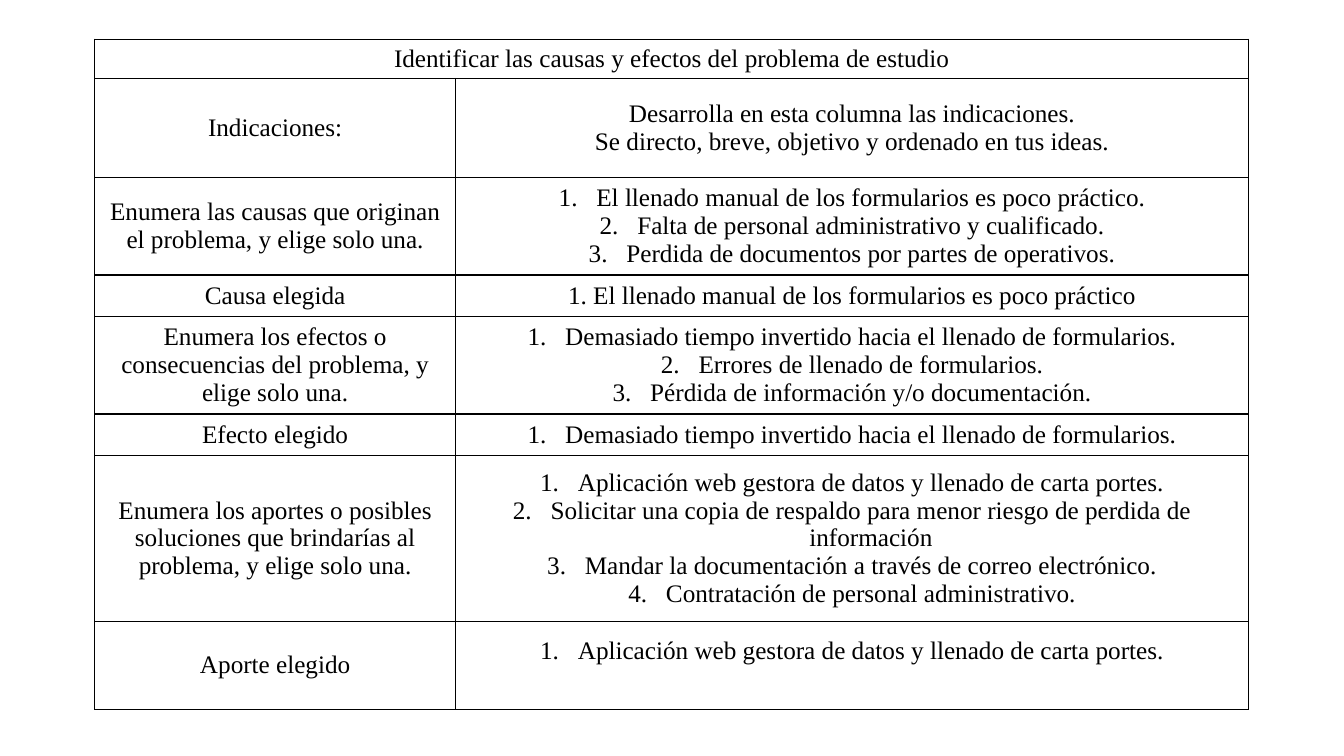
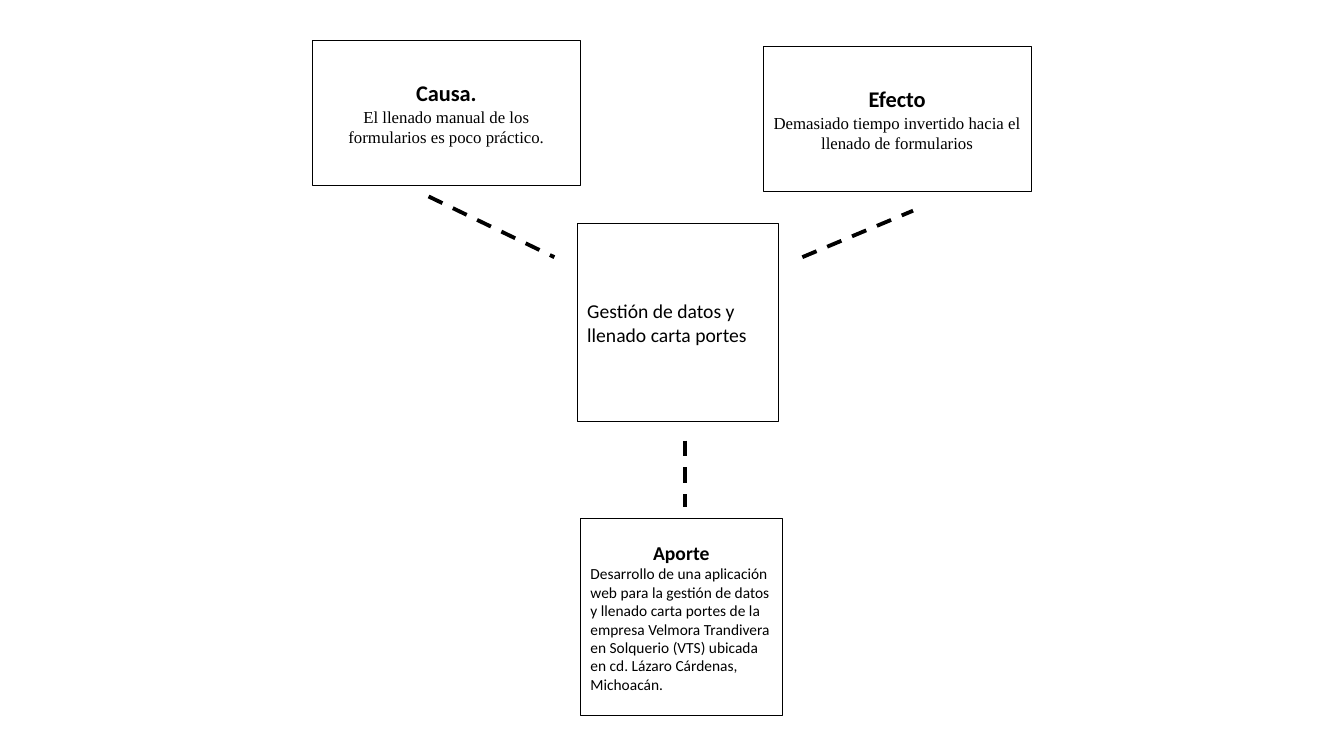
from lxml.etree import SubElement
from pptx import Presentation
from pptx.dml.color import RGBColor
from pptx.enum.dml import MSO_LINE
from pptx.enum.shapes import MSO_CONNECTOR, MSO_SHAPE
from pptx.enum.text import MSO_ANCHOR as Anchor, PP_ALIGN as Align
from pptx.oxml.ns import qn
from pptx.util import Cm, Pt

INK = "000000"
SERIF, SANS = "Times New Roman", "Calibri"
BORDER = 1
NUMBER_INDENT = Cm(0.95)


def color(hex_string):
    return RGBColor.from_string(hex_string)


def add_run(paragraph, text, size, font_name, bold=False):
    run = paragraph.add_run()
    run.text = text
    run.font.size = Pt(size)
    run.font.name = font_name
    run.font.bold = bold
    run.font.color.rgb = color(INK)


def next_paragraph(text_frame, index, align):
    paragraph = text_frame.add_paragraph() if index else text_frame.paragraphs[0]
    paragraph.alignment = align
    return paragraph


def number_paragraph(paragraph):
    properties = paragraph._p.get_or_add_pPr()
    properties.set("marL", str(NUMBER_INDENT))
    properties.set("indent", str(-NUMBER_INDENT))
    SubElement(properties, qn("a:buFont"), typeface="+mj-lt")
    SubElement(properties, qn("a:buAutoNum"), type="arabicPeriod")


# Table of causes and effects
def style_cell(cell):
    properties = cell._tc.get_or_add_tcPr()
    for side in ("a:lnL", "a:lnR", "a:lnT", "a:lnB"):
        line = SubElement(properties, qn(side), w=str(Pt(BORDER)))
        fill = SubElement(line, qn("a:solidFill"))
        SubElement(fill, qn("a:srgbClr"), val=INK)
    cell.fill.background()
    cell.vertical_anchor = Anchor.MIDDLE


def fill_cell(cell, lines, numbered=False):
    for index, text in enumerate(lines):
        paragraph = next_paragraph(cell.text_frame, index, Align.CENTER)
        if numbered:
            number_paragraph(paragraph)
        add_run(paragraph, text, 18, SERIF)


def add_analysis_table(slide, left, top, widths, heading, heading_height, rows):
    heights = [heading_height] + [row[0] for row in rows]
    frame = slide.shapes.add_table(len(heights), len(widths), Cm(left), Cm(top),
                                   Cm(sum(widths)), Cm(sum(heights)))
    table = frame.table
    table.first_row = table.horz_banding = False
    for column, width in zip(table.columns, widths):
        column.width = Cm(width)
    for row, height in zip(table.rows, heights):
        row.height = Cm(height)
    for cell in table.iter_cells():
        style_cell(cell)
    table.cell(0, 0).merge(table.cell(0, 1))
    fill_cell(table.cell(0, 0), [heading])
    for index, (height, label, numbered, answers) in enumerate(rows, start=1):
        fill_cell(table.cell(index, 0), [label])
        fill_cell(table.cell(index, 1), answers, numbered)
    return table


# Diagram parts
def add_card(slide, box, paragraphs):
    shape = slide.shapes.add_shape(MSO_SHAPE.RECTANGLE, *map(Cm, box))
    shape.shadow.inherit = False
    shape.fill.background()
    shape.line.color.rgb = color(INK)
    shape.line.width = Pt(0.75)
    text_frame = shape.text_frame
    text_frame.word_wrap = True
    text_frame.vertical_anchor = Anchor.MIDDLE
    for index, (text, align, size, font_name, bold) in enumerate(paragraphs):
        paragraph = next_paragraph(text_frame, index, align)
        add_run(paragraph, text, size, font_name, bold)


def add_dashed_link(slide, ends):
    link = slide.shapes.add_connector(MSO_CONNECTOR.STRAIGHT, *map(Cm, ends))
    link.line.color.rgb = color(INK)
    link.line.width = Pt(2.75)
    link.line.dash_style = MSO_LINE.DASH
    SubElement(link._element.spPr, qn("a:effectLst"))


presentation = Presentation()
presentation.slide_width, presentation.slide_height = Cm(33.87), Cm(19.05)
blank_layout = presentation.slide_layouts[6]

# Slide 1: analysis table, rows as height, label, numbered, answers
CAUSE = "El llenado manual de los formularios es poco práctico"
EFFECT = "Demasiado tiempo invertido hacia el llenado de formularios"
SOLUTION = "Aplicación web gestora de datos y llenado de carta portes."
analysis_rows = [
    (2.49, "Indicaciones:", False, [
        "Desarrolla en esta columna las indicaciones.",
        "Se directo, breve, objetivo y ordenado en tus ideas."]),
    (2.46, "Enumera las causas que originan el problema, y elige solo una.", True, [
        CAUSE + ".",
        "Falta de personal administrativo y cualificado.",
        "Perdida de documentos por partes de operativos."]),
    (1.04, "Causa elegida", False, ["1. " + CAUSE]),
    (2.46, "Enumera los efectos o consecuencias del problema, y elige solo una.", True, [
        EFFECT + ".",
        "Errores de llenado de formularios.",
        "Pérdida de información y/o documentación."]),
    (1.04, "Efecto elegido", True, [EFFECT + "."]),
    (4.19, "Enumera los aportes o posibles soluciones que brindarías al problema, "
           "y elige solo una.", True, [
        SOLUTION,
        "Solicitar una copia de respaldo para menor riesgo de perdida de información",
        "Mandar la documentación a través de correo electrónico.",
        "Contratación de personal administrativo."]),
    (2.21, "Aporte elegido", True, [SOLUTION]),
]
slide = presentation.slides.add_slide(blank_layout)
table = add_analysis_table(slide, 2.39, 0.99, (9.09, 19.99),
                           "Identificar las causas y efectos del problema de estudio",
                           0.99, analysis_rows)
# The last answer sits above the middle of its row
table.cell(len(analysis_rows), 1).margin_bottom = Cm(0.84)

# Slide 2: cause, effect and contribution around the topic
slide = presentation.slides.add_slide(blank_layout)
WIDE, SQUARE = (6.76, 3.66), (5.08, 4.98)
add_card(slide, (7.87, 1.02, *WIDE), [
    ("Causa.", Align.CENTER, 16, SANS, True),
    (CAUSE + ".", Align.CENTER, 12, SERIF, False)])
add_card(slide, (19.23, 1.17, *WIDE), [
    ("Efecto", Align.CENTER, 16, SANS, True),
    (EFFECT, Align.CENTER, 12, SERIF, False)])
add_card(slide, (14.55, 5.64, *SQUARE), [
    ("Gestión de datos y llenado carta portes", Align.LEFT, 14, SANS, False)])
add_card(slide, (14.63, 13.06, *SQUARE), [
    ("Aporte", Align.CENTER, 14, SANS, True),
    ("Desarrollo de una aplicación web para la gestión de datos y llenado carta "
     "portes de la empresa Velmora Trandivera en Solquerio (VTS) ubicada en cd. "
     "Lázaro Cárdenas, Michoacán.", Align.LEFT, 11, SANS, False)])
for ends in ((10.8, 4.95, 13.97, 6.48),
             (20.22, 6.48, 23.01, 5.31),
             (17.27, 11.1, 17.27, 12.78)):
    add_dashed_link(slide, ends)

presentation.save("out.pptx")
